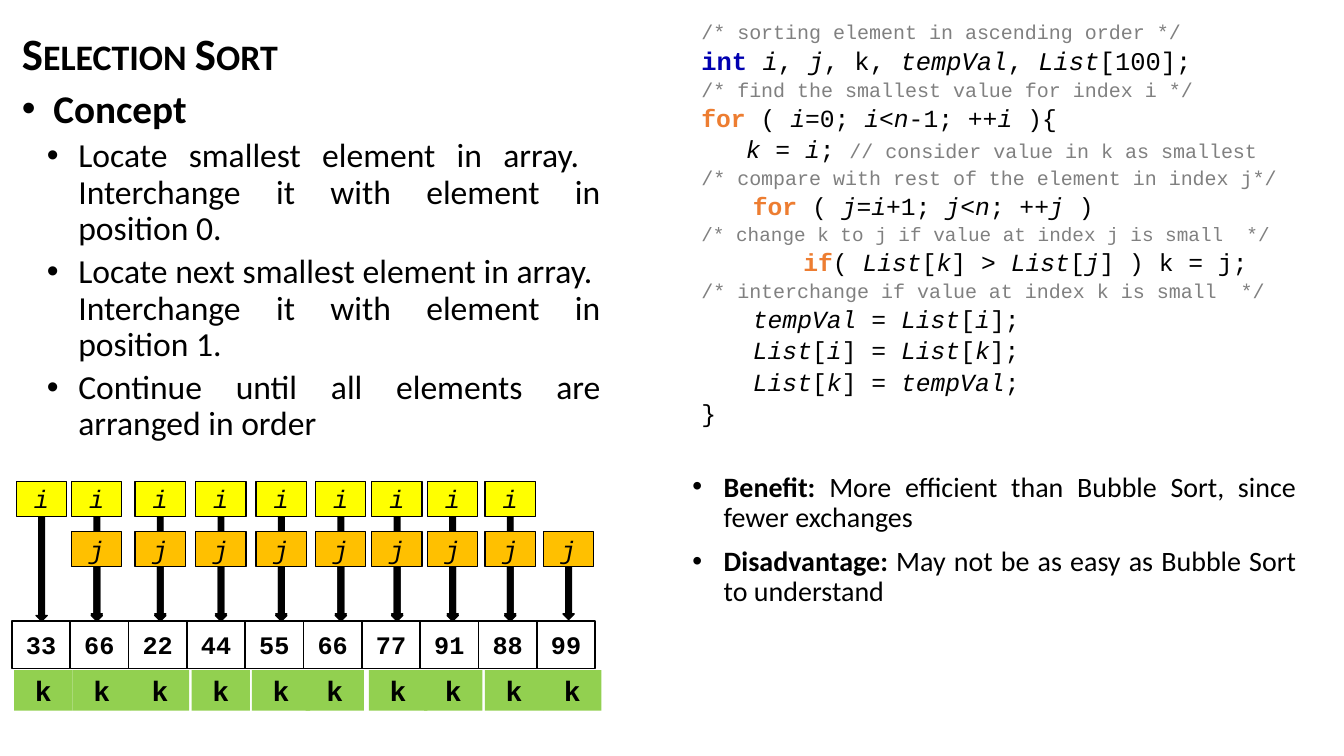
from lxml.etree import SubElement
from pptx import Presentation
from pptx.dml.color import RGBColor
from pptx.enum.shapes import MSO_SHAPE
from pptx.enum.text import MSO_ANCHOR, MSO_AUTO_SIZE, PP_ALIGN
from pptx.oxml.ns import qn
from pptx.util import Cm, Pt

SANS, MONO = "Calibri", "Courier New"
BLACK, GREY, ORANGE, BLUE = "000000", "808080", "ED7D31", "0000B0"

# Each line: size, indent, keyword, code with _italic_ parts, comment
CODE_LINES = [
    (14.3, "", "", "", "/* sorting element in ascending order */"),
    (18.2, "", "int ", "_i_, _j_, k, _tempVal_, _List_[100];", ""),
    (14.3, "", "", "", "/* find the smallest value for index i */"),
    (17.6, "", "for ", "( _i_=0; _i_<_n_-1; ++_i _){", ""),
    (17.6, "   ", "", "_k_ = _i_; ", "// consider value in k as smallest"),
    (14.3, "", "", "", "/* compare with rest of the element in index j*/"),
    (17.6, "\t", "for", " ( _j_=_i_+1; _j_<_n_; ++_j _)", ""),
    (13.8, "", "", "", "/* change k to j if value at index j is small  */"),
    (17.6, "\t\t", "if", "( _List_[_k_] > _List_[_j_] ) k = j;", ""),
    (14.3, "", "", "", "/* interchange if value at index k is small  */"),
    (17.6, "\t", "", "_tempVal _= _List_[_i_];", ""),
    (17.6, "\t", "", "_List_[_i_] = _List_[_k_];", ""),
    (17.6, "\t", "", "_List_[_k_] = _tempVal_;", ""),
    (17.6, "", "", "}", ""),
]
CONCEPT_STEPS = [
    "Locate smallest element in array.  Interchange it with element in position 0.",
    "Locate next smallest element in array.  Interchange it with element in position 1.",
    "Continue until all elements are arranged in order",
]
VERDICTS = [
    ("Benefit: ", "More efficient than Bubble Sort, since fewer exchanges"),
    ("Disadvantage: ", "May not be as easy as Bubble Sort to understand"),
]
VALUES = [33, 66, 22, 44, 55, 66, 77, 91, 88, 99]
POINTER_LEFTS = [0.41, 1.8, 3.4, 4.93, 6.45, 7.95, 9.37, 10.77, 12.22, 13.69]
K_LEFTS = [0.36, 1.83, 3.3, 4.83, 6.35, 7.7, 9.3, 10.69, 12.22, 13.69]


def color(hex_code):
    return RGBColor.from_string(hex_code)


def place(shape, box):
    shape.left, shape.top, shape.width, shape.height = [Cm(n) for n in box]


def style(span, size, name, hex_code=BLACK, bold=False, italic=False):
    font = span.font
    font.size, font.name, font.bold, font.italic = Pt(size), name, bold, italic
    font.color.rgb = color(hex_code)


def add_span(para, text, *args, **kwargs):
    if text:
        span = para.add_run()
        span.text = text
        style(span, *args, **kwargs)


def next_paragraph(frame, index):
    return frame.add_paragraph() if index else frame.paragraphs[0]


def set_indent(para, left, hanging, bullet=None):
    properties = para._p.get_or_add_pPr()
    properties.set("marL", str(Cm(left)))
    properties.set("indent", str(-Cm(hanging)))
    if bullet:
        SubElement(properties, qn("a:buFont"), typeface="Arial")
        SubElement(properties, qn("a:buChar"), char=bullet)
    else:
        SubElement(properties, qn("a:buNone"))


def format_bullet(para, left, space_before):
    para.alignment = PP_ALIGN.JUSTIFY
    para.line_spacing = 0.9
    para.space_before = Pt(space_before)
    set_indent(para, left, 0.79, "•")


def fill_title(title, box):
    place(title, box)
    frame = title.text_frame
    frame.text = "Selection Sort"
    frame.auto_size = MSO_AUTO_SIZE.NONE
    frame.vertical_anchor = MSO_ANCHOR.BOTTOM
    para = frame.paragraphs[0]
    para.alignment, para.line_spacing = PP_ALIGN.LEFT, 0.9
    style(para.runs[0], 32, SANS, bold=True)
    para.runs[0].font._element.set("cap", "small")


def fill_code(body, box):
    place(body, box)
    frame = body.text_frame
    frame.auto_size = MSO_AUTO_SIZE.NONE
    for index, (size, indent, keyword, code, comment) in enumerate(CODE_LINES):
        para = next_paragraph(frame, index)
        para.line_spacing = 1.0
        para.space_before = Pt(1.2 if index else 0)
        set_indent(para, 1.3, 1.3)
        add_span(para, indent, size, MONO)
        add_span(para, keyword, size, MONO, BLUE if keyword == "int " else ORANGE, bold=True)
        for part, text in enumerate(code.split("_")):
            add_span(para, text, size, MONO, italic=part % 2 == 1)
        add_span(para, comment, min(size, 14.3), MONO, GREY)


def fill_concept(body, box):
    place(body, box)
    frame = body.text_frame
    frame.auto_size = MSO_AUTO_SIZE.NONE
    for index, text in enumerate(["Concept"] + CONCEPT_STEPS):
        para = next_paragraph(frame, index)
        para.text = text
        para.level = 1 if index else 0
        format_bullet(para, 1.42 if index else 0.79, 5 if index else 0)
        style(para.runs[0], 24 if index else 28, SANS, bold=index == 0)


def add_verdicts(page, box):
    frame = page.shapes.add_textbox(*[Cm(n) for n in box]).text_frame
    frame.word_wrap = True
    frame.auto_size = MSO_AUTO_SIZE.SHAPE_TO_FIT_TEXT
    for index, (label, text) in enumerate(VERDICTS):
        para = next_paragraph(frame, index)
        format_bullet(para, 0.79, 10 if index else 0)
        add_span(para, label, 20, SANS, bold=True)
        add_span(para, text, 20, SANS)


def add_block(shapes, box, fill, line=BLACK, preset=MSO_SHAPE.RECTANGLE):
    shape = shapes.add_shape(preset, *[Cm(n) for n in box])
    shape.shadow.inherit = False
    shape.fill.solid()
    shape.fill.fore_color.rgb = color(fill)
    if line:
        shape.line.color.rgb = color(line)
        shape.line.width = Pt(1)
    else:
        shape.line.fill.background()
    return shape


def write_label(shape, text, size, **look):
    frame = shape.text_frame
    frame.text = text
    frame.margin_left = frame.margin_right = frame.margin_top = frame.margin_bottom = 0
    frame.vertical_anchor = MSO_ANCHOR.MIDDLE
    frame.paragraphs[0].alignment = PP_ALIGN.CENTER
    style(frame.paragraphs[0].runs[0], size, MONO, **look)


def add_pointer(page, name, fill, left, top, bottom):
    """Group a named tag with the arrow that leads from it down to a cell."""
    shapes = page.shapes.add_group_shape().shapes
    arrow_top = top + 0.7
    add_block(shapes, (left + 0.5, arrow_top, 0.28, bottom - arrow_top), BLACK,
              preset=MSO_SHAPE.DOWN_ARROW)
    tag = add_block(shapes, (left, top, 1.27, 0.88), fill)
    write_label(tag, name, 18, italic=True)


def add_array_diagram(page, box):
    left, top, width, height = box
    cell_top, cell_width = top + 3.52, width / len(VALUES)
    for index, value in enumerate(VALUES):
        cell = add_block(page.shapes, (left + index * cell_width, cell_top, cell_width, 1.19),
                         "FFFFFF")
        write_label(cell, str(value), 18, bold=True)
    for offset in POINTER_LEFTS[:-1]:
        add_pointer(page, "i", "FFFF00", left + offset - 0.3, top, cell_top)
    for offset in POINTER_LEFTS[1:]:
        add_pointer(page, "j", "FFC000", left + offset - 0.3, top + 1.27, cell_top - 0.04)
    for offset in K_LEFTS:
        marker = add_block(page.shapes, (left + offset - 0.3, top + height - 1.02, 1.47, 1.02),
                           "92D050", line=None)
        write_label(marker, "k", 20, bold=True)


def main():
    deck = Presentation()
    deck.slide_width, deck.slide_height = Cm(33.87), Cm(19.05)
    page = deck.slides.add_slide(deck.slide_layouts[3])
    title, code, concept = page.placeholders
    fill_title(title, (0.3, 0.36, 14.35, 1.8))
    fill_code(code, (17.42, 0.36, 15.9, 11.05))
    fill_concept(concept, (0.3, 2.13, 15.09, 15.62))
    add_array_diagram(page, (0.3, 12.13, 14.7, 5.78))
    add_verdicts(page, (17.2, 11.79, 15.72, 3.68))
    deck.save("out.pptx")


if __name__ == "__main__":
    main()
